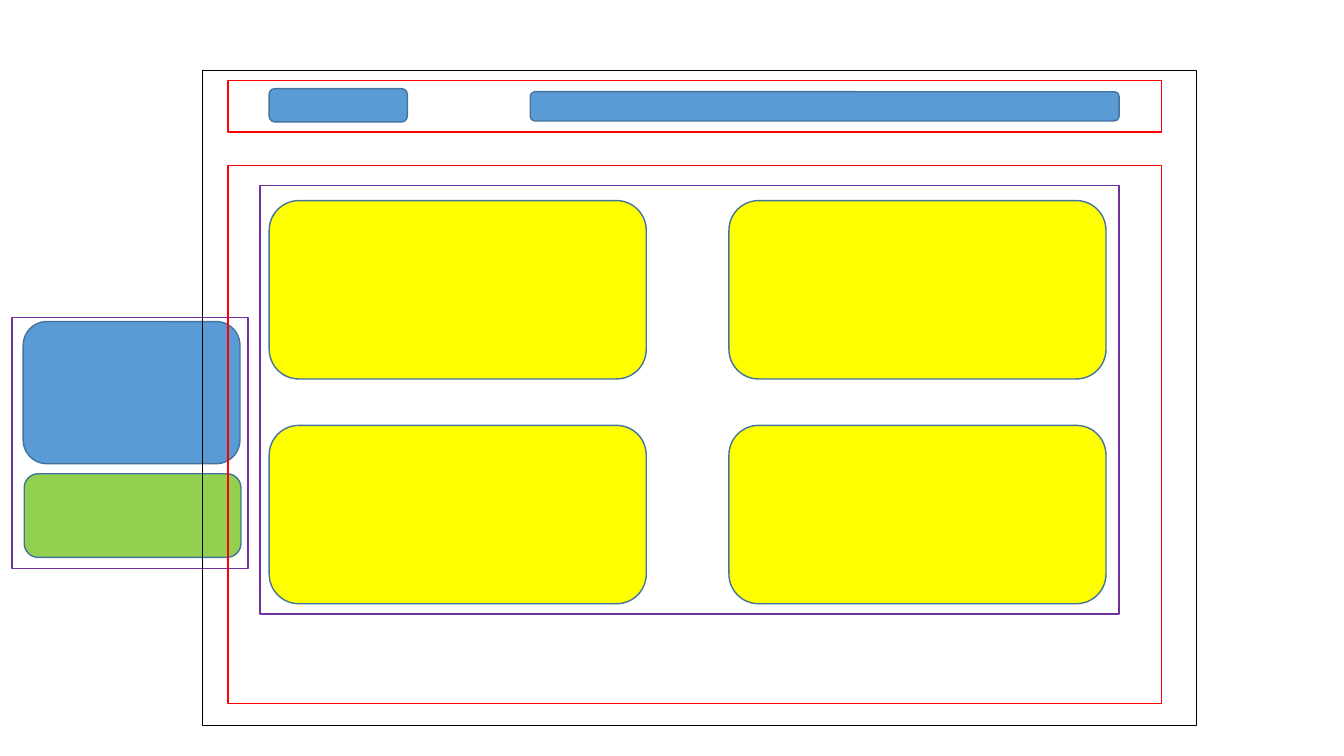
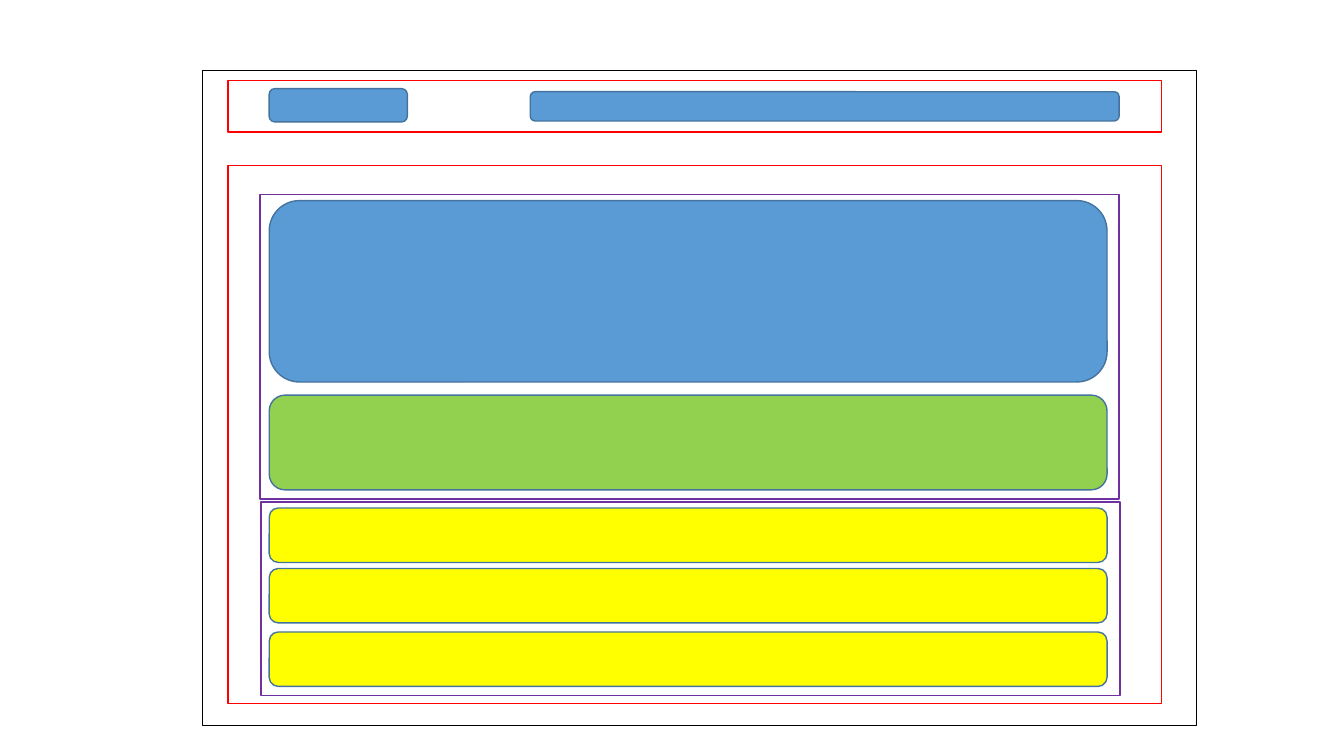
import pptx
import pptx.util
import pptx.dml.color
import pptx.enum.shapes

Inches = pptx.util.Inches
RGBColor = pptx.dml.color.RGBColor
SHAPE = pptx.enum.shapes.MSO_SHAPE

BLUE = RGBColor(0x5B, 0x9B, 0xD5)
GREEN = RGBColor(0x92, 0xD0, 0x50)
YELLOW = RGBColor(0xFF, 0xFF, 0x00)
EDGE = RGBColor(0x43, 0x73, 0x9E)
BLACK = RGBColor(0x00, 0x00, 0x00)
RED = RGBColor(0xFF, 0x00, 0x00)
PURPLE = RGBColor(0x70, 0x30, 0xA0)

INNER_LEFT = 2.67
INNER_WIDTH = 8.31


def add_box(parent, kind, at, line):
    s = parent.shapes.add_shape(kind, *[Inches(v) for v in at])
    s.shadow.inherit = False
    s.line.color.rgb = line
    s.line.width = pptx.util.Pt(1)
    return s


def add_frame(parent, at, color):
    """Unfilled rectangle that outlines a region."""
    add_box(parent, SHAPE.RECTANGLE, at, color).fill.background()


def add_block(parent, at, color):
    """Filled rounded rectangle that stands for content."""
    s = add_box(parent, SHAPE.ROUNDED_RECTANGLE, at, EDGE)
    s.fill.solid()
    s.fill.fore_color.rgb = color


def add_panel(slide, frame, blocks):
    """Group of (position, colour) blocks inside a purple frame."""
    group = slide.shapes.add_group_shape()
    for at, color in blocks:
        add_block(group, at, color)
    add_frame(group, frame, PURPLE)


def add_page(slide):
    """Page outline, header with logo and menu, and body region."""
    add_frame(slide, (2.01, 0.7, 9.86, 6.5), BLACK)
    add_frame(slide, (2.26, 0.8, 9.26, 0.51), RED)
    add_block(slide, (INNER_LEFT, 0.88, 1.37, 0.33), BLUE)
    add_block(slide, (5.26, 0.91, 5.84, 0.29), BLUE)
    add_frame(slide, (2.26, 1.64, 9.26, 5.34), RED)


def build_grid_slide(slide):
    # Side panel, partly behind the page
    add_panel(slide, (0.12, 3.15, 2.34, 2.49), [
        ((0.23, 3.19, 2.15, 1.41), BLUE),
        ((0.24, 4.7, 2.15, 0.83), GREEN),
    ])
    add_page(slide)
    # Two by two cards
    cards = [((INNER_LEFT + 4.56 * col, 1.99 + 2.23 * row, 3.74, 1.77), YELLOW)
             for row in range(2) for col in range(2)]
    add_panel(slide, (2.58, 1.84, 8.52, 4.25), cards)


def build_detail_slide(slide):
    add_page(slide)
    # Main item and its description
    add_panel(slide, (2.58, 1.93, 8.52, 3.02), [
        ((INNER_LEFT, 1.99, INNER_WIDTH, 1.8), BLUE),
        ((INNER_LEFT, 3.92, INNER_WIDTH, 0.94), GREEN),
    ])
    # List rows
    rows = [((INNER_LEFT, top, INNER_WIDTH, 0.54), YELLOW)
            for top in (5.04, 5.64, 6.27)]
    add_panel(slide, (2.59, 4.98, 8.52, 1.92), rows)


def main():
    prs = pptx.Presentation()
    prs.slide_width = Inches(13.33)
    prs.slide_height = Inches(7.5)
    blank = prs.slide_layouts[6]
    for build in (build_grid_slide, build_detail_slide):
        build(prs.slides.add_slide(blank))
    prs.save("out.pptx")


main()
